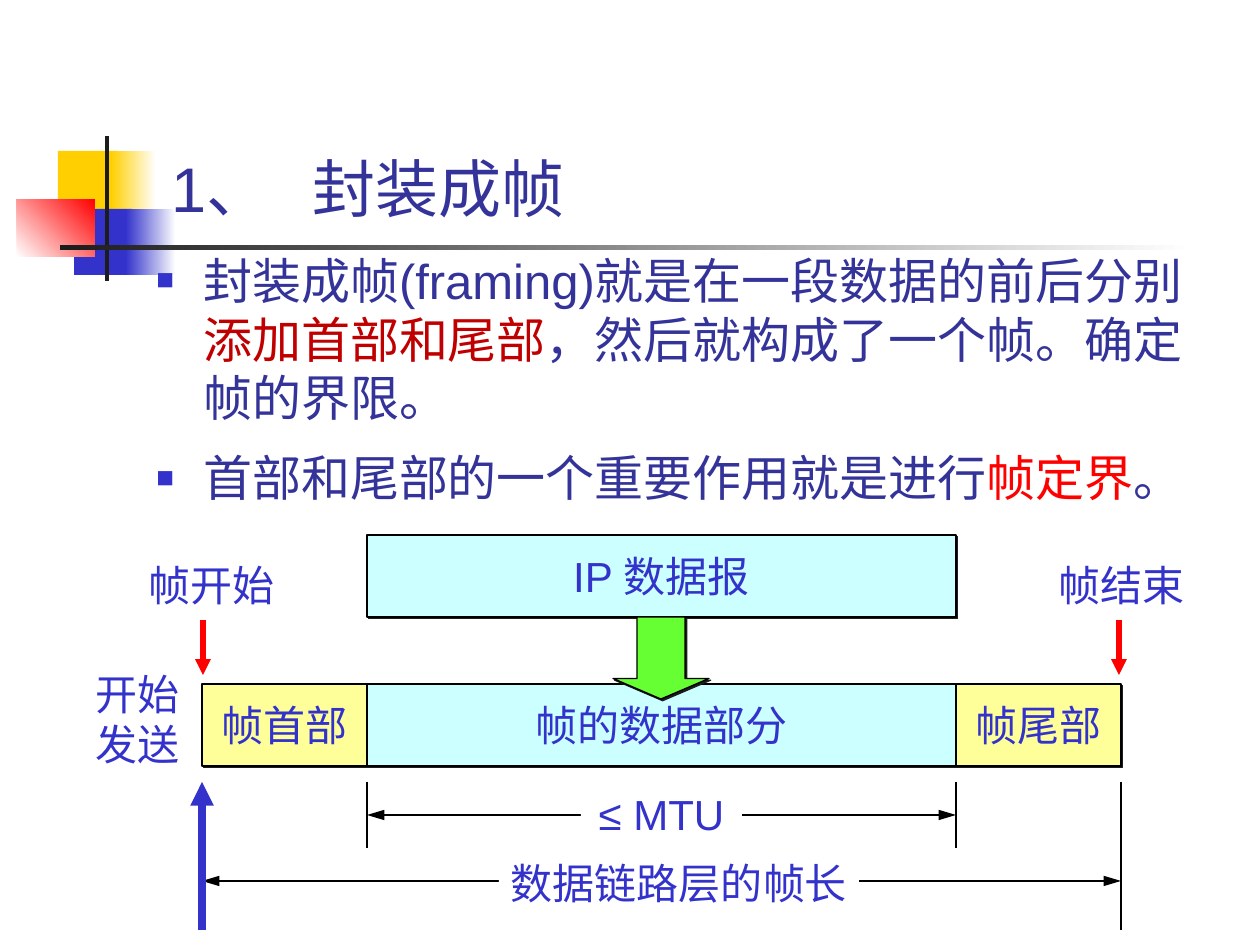
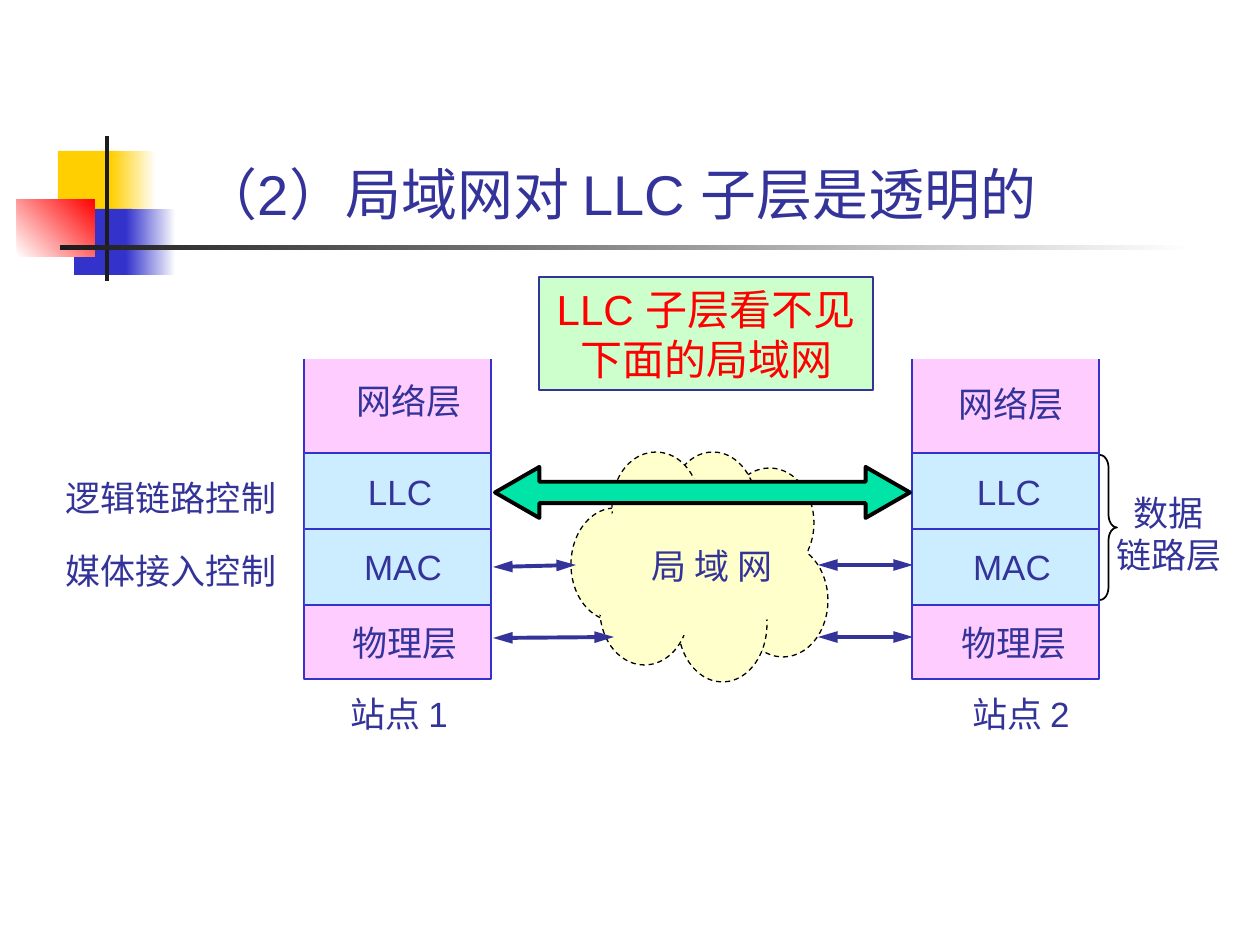
from lxml.etree import SubElement
from pptx import Presentation
from pptx.dml.color import RGBColor
from pptx.enum.dml import MSO_LINE
from pptx.enum.shapes import MSO_CONNECTOR, MSO_SHAPE
from pptx.enum.text import MSO_ANCHOR, PP_ALIGN
from pptx.oxml.ns import qn
from pptx.util import Emu, Pt

EMU_PER_PX = 914400 / 126
FONT = "Arial"
COLORS = {
    "white": "FFFFFF", "black": "000000", "ink": "1C1C1C", "navy": "333399",
    "blue": "3333CC", "red": "FF0000", "dark red": "C00000", "gold": "FFCF01",
    "yellow": "FFFF99", "cyan": "CCFFFF", "lime": "66FF33", "pink": "FFCCFF",
    "sky": "CCECFF", "cream": "FFFFCC", "mint": "CCFFCC", "teal": "00E4A8",
}

# Shared corner ornament: box, start colour, end colour, angle
ORNAMENT = [
    ((58, 151, 60, 66), "gold", None, 0),
    ((111, 151, 45, 66), "gold", "white", 0),
    ((74, 209, 58, 66), "blue", None, 0),
    ((126, 209, 50, 66), "blue", "white", 0),
    ((17, 199, 78, 58), "white", "red", 45),
    ((105, 136, 4, 145), "ink", None, 0),
    ((60, 245, 1134, 5), "ink", "white", 0),
]

# Slide 1
FRAMING_TITLE = "1、\t封装成帧"
FRAMING_POINTS = [
    [("封装成帧(framing)就是在一段数据的前后分别", "navy"), ("添加首部和尾部", "dark red"),
     ("，然后就构成了一个帧。确定帧的界限。", "navy")],
    [("首部和尾部的一个重要作用就是进行", "navy"), ("帧定界", "red"), ("。", "navy")],
]
FRAME_EDGES = [202, 367, 956, 1121]
FRAME_PARTS = [("帧首部", "yellow"), ("帧的数据部分", "cyan"), ("帧尾部", "yellow")]
FRAME_TOP, DATAGRAM_TOP, PART_HEIGHT = 684, 535, 82
TICK_TOP = 782
FRAME_LABELS = [
    (["帧开始"], (136, 553, 151, 63)),
    (["帧结束"], (1046, 553, 151, 63)),
    (["开始", "发送"], (84, 662, 108, 113)),
    (["≤ MTU"], (581, 782, 161, 63)),
    (["数据链路层的帧长"], (499, 851, 360, 63)),
]

# Slide 2
LAN_TITLE = "（2）局域网对 LLC 子层是透明的"
STACK_TOP, STACK_BOTTOM, STACK_WIDTH = 359, 679, 187
SUBLAYER_TOP, SUBLAYER_HEIGHT = 453, 76
STATIONS = [  # left edge, then each label with its centre
    (304, [("网络层", 409, 400), ("LLC", 400, 491), ("MAC", 403, 566),
           ("物理层", 405, 642), ("站点 1", 399, 713)]),
    (912, [("网络层", 1011, 403), ("LLC", 1009, 491), ("MAC", 1012, 566),
           ("物理层", 1014, 642), ("站点 2", 1021, 713)]),
]
SIDE_LABELS = [(["逻辑链路控制"], 171, 497), (["媒体接入控制"], 171, 570),
               (["数据", "链路层"], 1169, 533), (["局 域 网"], 712, 565)]
CLOUD_PUFFS = [
    (738, 544, 90, 113), (571, 508, 88, 113), (725, 468, 89, 110), (678, 566, 89, 116),
    (600, 555, 89, 110), (669, 452, 88, 113), (612, 452, 88, 108),
]
CLOUD_COVERS = [(594, 479, 214, 157), (595, 585, 12, 30)]
LAN_ARROWS = [((493, 567), (576, 565)), ((913, 565), (818, 565)),
              ((493, 638), (614, 637)), ((913, 637), (818, 637))]
CALLOUT = ["LLC 子层看不见", "下面的局域网"]


def px(value):
    return Emu(round(value * EMU_PER_PX))


def color(name):
    return RGBColor.from_string(COLORS[name])


def style(shape, fill=None, line=None, width=0.75):
    shape.shadow.inherit = False
    if fill:
        shape.fill.solid()
        shape.fill.fore_color.rgb = color(fill)
    else:
        shape.fill.background()
    if line:
        shape.line.color.rgb = color(line)
        shape.line.width = Pt(width)
    else:
        shape.line.fill.background()


def add_shape(slide, box, fill=None, line=None, width=0.75, kind=MSO_SHAPE.RECTANGLE):
    shape = slide.shapes.add_shape(kind, *map(px, box))
    style(shape, fill, line, width)
    return shape


def cast_shadow(shape):
    effects = shape._element.spPr.find(qn("a:effectLst"))
    shadow = SubElement(effects, qn("a:outerShdw"), dist=str(Pt(1.4)), dir="2700000",
                        algn="ctr", rotWithShape="0")
    SubElement(shadow, qn("a:srgbClr"), val=COLORS["ink"])


def add_span(para, text, size, tint):
    span = para.add_run()
    span.text = text
    span.font.name = FONT
    span.font.size = Pt(size)
    span.font.color.rgb = color(tint)


def write(shape, lines, size, tint):
    """Centre lines of text in a shape, unwrapped."""
    frame = shape.text_frame
    frame.word_wrap = False
    frame.vertical_anchor = MSO_ANCHOR.MIDDLE
    for index, text in enumerate(lines):
        para = frame.add_paragraph() if index else frame.paragraphs[0]
        para.alignment = PP_ALIGN.CENTER
        add_span(para, text, size, tint)


def add_label(slide, lines, center_x, center_y):
    width, height = 236, 12 + 42 * len(lines)
    box = (center_x - width / 2, center_y - height / 2, width, height)
    write(slide.shapes.add_textbox(*map(px, box)), lines, 20, "navy")


def add_line(slide, start, end, tint="black", width=0.75, heads=(), length="med"):
    """Draw a straight line; heads may hold headEnd (start) and tailEnd (end)."""
    line = slide.shapes.add_connector(MSO_CONNECTOR.STRAIGHT, *map(px, start + end))
    line.line.color.rgb = color(tint)
    line.line.width = Pt(width)
    outline = line.line._get_or_add_ln()
    for head in heads:
        SubElement(outline, qn("a:" + head), type="triangle", w="med", len=length)
    SubElement(line._element.spPr, qn("a:effectLst"))
    return line


def add_double_arrow(slide, start, end, tint="black", width=0.75):
    add_line(slide, start, end, tint, width, ("headEnd", "tailEnd"), "lg")


def add_base(deck):
    """Add a blank slide with the corner ornament."""
    slide = deck.slides.add_slide(deck.slide_layouts[6])
    for box, first, last, angle in ORNAMENT:
        shape = add_shape(slide, box, first)
        if last:
            shape.fill.gradient()
            shape.fill.gradient_angle = angle
            for stop, name in zip(shape.fill.gradient_stops, (first, last)):
                stop.color.rgb = color(name)
    return slide


def add_title(slide, text, box, size, alignment=PP_ALIGN.LEFT, tab=None):
    frame = slide.shapes.add_textbox(*map(px, box)).text_frame
    frame.word_wrap = True
    frame.vertical_anchor = MSO_ANCHOR.BOTTOM
    para = frame.paragraphs[0]
    para.alignment = alignment
    if tab:
        tabs = SubElement(para._p.get_or_add_pPr(), qn("a:tabLst"))
        SubElement(tabs, qn("a:tab"), pos=str(px(tab)), algn="l")
    add_span(para, text, size, "navy")


def add_points(slide, points, box):
    frame = slide.shapes.add_textbox(*map(px, box)).text_frame
    frame.word_wrap = True
    for index, spans in enumerate(points):
        para = frame.add_paragraph() if index else frame.paragraphs[0]
        properties = para._p.get_or_add_pPr()
        properties.set("marL", str(px(47)))
        properties.set("indent", str(-px(47)))
        tint = SubElement(properties, qn("a:buClr"))
        SubElement(tint, qn("a:srgbClr"), val=COLORS["blue"])
        SubElement(properties, qn("a:buSzPct"), val="60000")
        SubElement(properties, qn("a:buFont"), typeface=FONT)
        SubElement(properties, qn("a:buChar"), char="■")
        if index:
            para.space_before = Pt(12)
        for text, name in spans:
            add_span(para, text, 28, name)


def add_part(slide, text, fill, left, right, top):
    part = add_shape(slide, (left, top, right - left, PART_HEIGHT), fill, "black")
    cast_shadow(part)
    write(part, [text], 24, "blue")


def build_framing(deck):
    slide = add_base(deck)
    add_title(slide, FRAMING_TITLE, (159, 29, 958, 202), 36, tab=141)
    add_points(slide, FRAMING_POINTS, (144, 244, 1071, 567))

    start, data_left, data_right, end = FRAME_EDGES
    add_part(slide, "IP 数据报", "cyan", data_left, data_right, DATAGRAM_TOP)
    for (text, fill), left, right in zip(FRAME_PARTS, FRAME_EDGES, FRAME_EDGES[1:]):
        add_part(slide, text, fill, left, right, FRAME_TOP)
    arrow = add_shape(slide, (613, 617, 96, 82), "lime", "black", kind=MSO_SHAPE.DOWN_ARROW)
    arrow.adjustments[1] = 0.25
    cast_shadow(arrow)

    add_double_arrow(slide, (data_left, 815), (data_right, 815))
    add_double_arrow(slide, (start, 881), (end, 881))
    for x, bottom in ((data_left, 848), (data_right, 848), (end, 930)):
        add_line(slide, (x, TICK_TOP), (x, bottom))
    add_line(slide, (start, 930), (start, TICK_TOP), "blue", 4.5, ["tailEnd"])
    for x in (start + 1, end - 2):
        add_line(slide, (x, 620), (x, 675), "red", 3, ["tailEnd"])
    for lines, box in FRAME_LABELS:
        write(add_shape(slide, box, "white"), lines, 24, "blue")


def add_stack(slide, left):
    """Draw one station's layers, open at the top."""
    right = left + STACK_WIDTH
    outline = slide.shapes.build_freeform(left, STACK_TOP, EMU_PER_PX)
    outline.add_line_segments(
        [(left, STACK_BOTTOM), (right, STACK_BOTTOM), (right, STACK_TOP)], close=False)
    style(outline.convert_to_shape(), "pink", "blue")
    sublayers = add_shape(
        slide, (left + 1, SUBLAYER_TOP, STACK_WIDTH - 2, 2 * SUBLAYER_HEIGHT), "sky")
    for row in range(3):
        y = SUBLAYER_TOP + row * SUBLAYER_HEIGHT
        divider = add_line(slide, (left + 1, y), (right - 1, y), "blue", 1)
        if row == 1:
            divider.begin_connect(sublayers, 1)
            divider.end_connect(sublayers, 3)


def build_lan(deck):
    slide = add_base(deck)
    add_title(slide, LAN_TITLE, (147, 127, 945, 106), 32, PP_ALIGN.CENTER)
    for left, _ in STATIONS:
        add_stack(slide, left)
    for box in CLOUD_PUFFS:
        puff = add_shape(slide, box, "cream", "black", kind=MSO_SHAPE.OVAL)
        puff.line.dash_style = MSO_LINE.DASH
    for box in CLOUD_COVERS:
        add_shape(slide, box, "cream", kind=MSO_SHAPE.OVAL)

    for start, end in LAN_ARROWS:
        add_double_arrow(slide, start, end, "navy", 2.25)
    link = add_shape(slide, (495, 467, 415, 51), "teal", "black", 2.25,
                     MSO_SHAPE.LEFT_RIGHT_ARROW)
    link.adjustments[0], link.adjustments[1] = 0.42, 0.87
    brace = add_shape(slide, (1100, 455, 17, 145), None, "black", 1, MSO_SHAPE.RIGHT_BRACE)
    brace.adjustments[0] = 0.75

    for _, labels in STATIONS:
        for text, x, y in labels:
            add_label(slide, [text], x, y)
    for lines, x, y in SIDE_LABELS:
        add_label(slide, lines, x, y)
    write(add_shape(slide, (539, 277, 334, 113), "mint", "navy"), CALLOUT, 24, "red")


def main():
    deck = Presentation()
    deck.slide_width, deck.slide_height = px(1260), px(945)
    build_framing(deck)
    build_lan(deck)
    deck.save("out.pptx")


if __name__ == "__main__":
    main()
